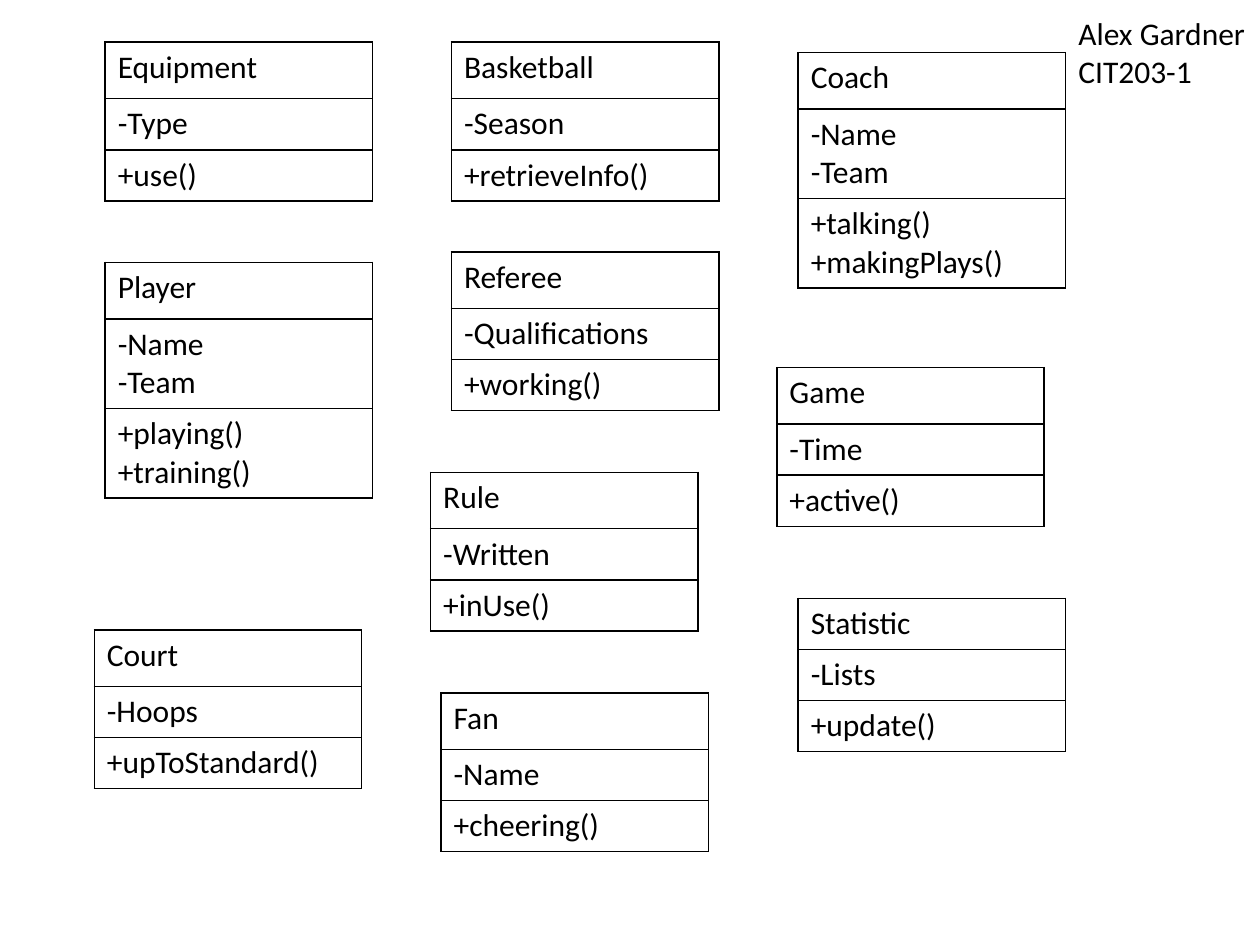
from dataclasses import dataclass

from lxml import etree
from pptx import Presentation
from pptx import util as u
from pptx.dml.color import RGBColor
from pptx.enum import text
from pptx.oxml import ns


@dataclass(frozen=True)
class Theme:
    font: str = "Calibri"
    size: float = 18
    ink: str = "000000"
    border: float = 1
    class_width: float = 5.39
    line_height: float = 0.77
    row_padding: float = 0.25
    name_height: float = 1.14


def write_lines(frame, lines, *, font, size, color, align=text.PP_ALIGN.LEFT):
    """Fill a text frame with one paragraph for each line."""
    for index, line in enumerate(lines):
        para = frame.paragraphs[0] if index == 0 else frame.add_paragraph()
        para.alignment = align
        span = para.add_run()
        span.text = line
        span.font.name = font
        span.font.size = u.Pt(size)
        span.font.color.rgb = RGBColor.from_string(color)


class ClassDiagram:
    def __init__(self, page, theme):
        self.page = page
        self.theme = theme
        self.format = dict(font=theme.font, size=theme.size, color=theme.ink)

    def border(self, cell):
        """Draw a solid line on all four sides of a cell."""
        properties = cell._tc.get_or_add_tcPr()
        for index, side in enumerate(("lnL", "lnR", "lnT", "lnB")):
            line = etree.Element(ns.qn(f"a:{side}"), w=str(u.Pt(self.theme.border)))
            fill = etree.SubElement(line, ns.qn("a:solidFill"))
            etree.SubElement(fill, ns.qn("a:srgbClr"), val=self.theme.ink)
            properties.insert(index, line)

    def class_table(self, left, top, name, attributes, methods, name_height=None):
        """Add a class as a table of name, attributes and methods."""
        theme = self.theme
        sections = [[name], attributes, methods]
        heights = [theme.row_padding + theme.line_height * len(lines) for lines in sections]
        heights[0] = name_height or theme.name_height
        table = self.page.shapes.add_table(
            len(sections), 1, u.Cm(left), u.Cm(top),
            u.Cm(theme.class_width), u.Cm(sum(heights))).table
        table.first_row = table.horz_banding = False
        for row, lines, height in zip(table.rows, sections, heights):
            row.height = u.Cm(height)
            cell = row.cells[0]
            cell.fill.background()
            self.border(cell)
            write_lines(cell.text_frame, lines, **self.format)

    def label(self, left, top, width, height, lines):
        box = self.page.shapes.add_textbox(u.Cm(left), u.Cm(top), u.Cm(width), u.Cm(height))
        box.text_frame.word_wrap = False
        box.text_frame.auto_size = text.MSO_AUTO_SIZE.SHAPE_TO_FIT_TEXT
        write_lines(box.text_frame, lines, **self.format)


# Deck and page
deck = Presentation()
deck.slide_width, deck.slide_height = u.Cm(25.4), u.Cm(19.05)
page = deck.slides.add_slide(deck.slide_layouts[6])
diagram = ClassDiagram(page, Theme())

# Left column
diagram.class_table(2.12, 0.85, "Equipment", ["-Type"], ["+use()"])
diagram.class_table(2.12, 5.29, "Player", ["-Name", "-Team"], ["+playing()", "+training()"])
diagram.class_table(1.9, 12.7, "Court", ["-Hoops"], ["+upToStandard()"])

# Middle column
diagram.class_table(9.1, 0.85, "Basketball", ["-Season"], ["+retrieveInfo()"])
diagram.class_table(9.1, 5.08, "Referee", ["-Qualifications"], ["+working()"])
diagram.class_table(8.68, 9.52, "Rule", ["-Written"], ["+inUse()"])
diagram.class_table(8.89, 13.97, "Fan", ["-Name"], ["+cheering()"])

# Right column
diagram.class_table(16.09, 1.06, "Coach", ["-Name", "-Team"], ["+talking()", "+makingPlays()"])
diagram.class_table(15.66, 7.41, "Game", ["-Time"], ["+active()"])
diagram.class_table(16.09, 12.06, "Statistic", ["-Lists"], ["+update()"], name_height=1.02)

# Author and course
diagram.label(21.49, 0.16, 3.91, 1.8, ["Alex Gardner", "CIT203-1"])

deck.save("out.pptx")
